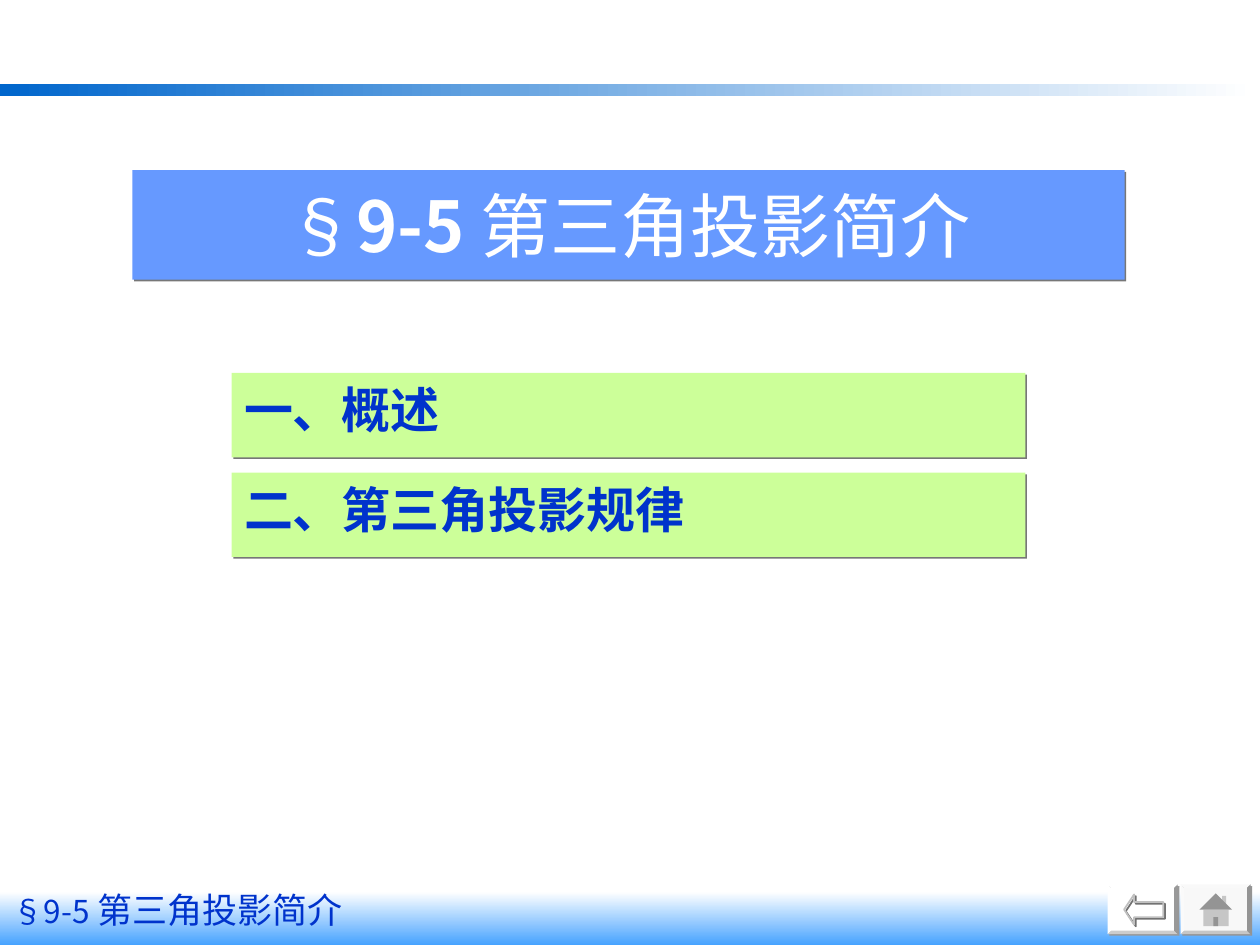
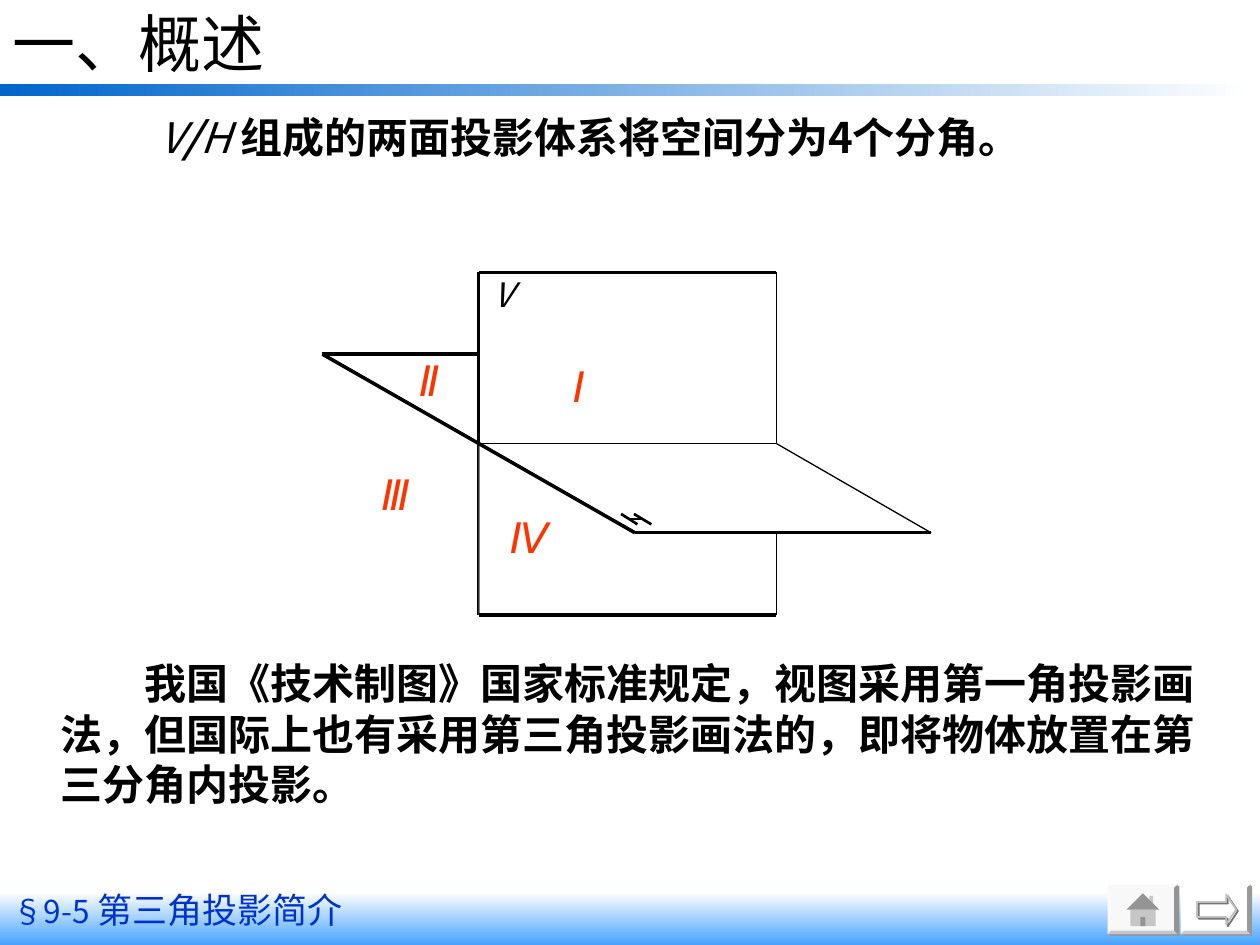
import pptx
import pptx.util
import pptx.dml.color
import pptx.enum.shapes
import pptx.enum.text
import pptx.oxml
import pptx.oxml.ns
from pptx.util import Cm, Pt

SHAPES = pptx.enum.shapes.MSO_SHAPE
ANCHOR = pptx.enum.text.MSO_ANCHOR
ALIGN = pptx.enum.text.PP_ALIGN
SANS_SC = "Noto Sans CJK SC"
SANS_JP = "Noto Sans CJK JP"
BLACK, WHITE, NAVY, RED = "000000", "FFFFFF", "0033CC", "FF3300"
BUTTON_LEFTS = (22.33, 23.8)
BUTTON_TOP, BUTTON_WIDTH, BUTTON_HEIGHT = 17.83, 1.41, 1.0


def color(value):
    return pptx.dml.color.RGBColor.from_string(value)


def add_xml(parent, tag, inner="", **attributes):
    listed = "".join(f' {name}="{value}"' for name, value in attributes.items())
    namespace = pptx.oxml.ns.nsdecls("a")
    element = pptx.oxml.parse_xml(f"<a:{tag} {namespace}{listed}>{inner}</a:{tag}>")
    parent.append(element)


def set_shadow(shape, value):
    inner = (f'<a:outerShdw dist="{Pt(1.4)}" dir="2700000" algn="ctr" rotWithShape="0">'
             f'<a:srgbClr val="{value}"/></a:outerShdw>')
    add_xml(shape._element.spPr, "effectLst", inner)


def set_font(font, name, size=None, value=None, bold=None, italic=None):
    if size:
        font.size = Pt(size)
    if value:
        font.color.rgb = color(value)
    font.bold, font.italic = bold, italic
    font.name = name
    add_xml(font._rPr, "ea", typeface=name)


def set_frame(shape, anchor=ANCHOR.TOP):
    frame = shape.text_frame
    frame.word_wrap = True
    frame.auto_size = pptx.enum.text.MSO_AUTO_SIZE.NONE
    frame.vertical_anchor = anchor
    frame.margin_left = frame.margin_right = Cm(0.25)
    frame.margin_top = frame.margin_bottom = Cm(0.13)
    para = frame.paragraphs[0]
    para.alignment = ALIGN.LEFT
    return para


def add_span(para, text, name, **style):
    span = para.add_run()
    span.text = text
    set_font(span.font, name, **style)
    return span


def set_indent(para, margin, first):
    properties = para._p.get_or_add_pPr()
    properties.set("marL", str(Cm(margin)))
    properties.set("indent", str(Cm(first)))


def add_box(page, left, top, width, height):
    return set_frame(page.shapes.add_textbox(Cm(left), Cm(top), Cm(width), Cm(height)))


def add_panel(page, kind, left, top, width, height, fill=None):
    panel = page.shapes.add_shape(kind, Cm(left), Cm(top), Cm(width), Cm(height))
    panel.shadow.inherit = False
    panel.line.fill.background()
    if fill:
        panel.fill.solid()
        panel.fill.fore_color.rgb = color(fill)
    else:
        panel.fill.background()
    return panel


def add_gradient(page, area, start, end, angle):
    band = add_panel(page, SHAPES.RECTANGLE, *area)
    band.fill.gradient()
    band.fill.gradient_angle = angle
    for stop, position, value in zip(band.fill.gradient_stops, (0, 1), (start, end)):
        stop.position = position
        stop.color.rgb = color(value)


def add_outline(page, points, fill):
    start, *others = [(Cm(x), Cm(y)) for x, y in points]
    builder = page.shapes.build_freeform(*start)
    builder.add_line_segments(others, close=True)
    outline = builder.convert_to_shape()
    outline.shadow.inherit = False
    outline.line.fill.background()
    outline.fill.solid()
    outline.fill.fore_color.rgb = color(fill)
    return outline


def add_line(page, start, end, weight):
    ends = [Cm(value) for value in (*start, *end)]
    line = page.shapes.add_connector(pptx.enum.shapes.MSO_CONNECTOR.STRAIGHT, *ends)
    line.line.color.rgb = color(BLACK)
    line.line.width = Pt(weight)
    add_xml(line._element.spPr, "effectLst")


def add_button(page, left, fill, shadow):
    button = add_panel(page, SHAPES.BEVEL, left, BUTTON_TOP, BUTTON_WIDTH, BUTTON_HEIGHT, fill)
    button.adjustments[0] = 0.07
    button._element.spPr.remove(button._element.spPr.find(pptx.oxml.ns.qn("a:effectLst")))
    set_shadow(button, shadow)


def add_arrow_button(page, left, rotation):
    add_button(page, left, WHITE, "989898")
    arrow = page.shapes.add_shape(SHAPES.RIGHT_ARROW, Cm(left + 0.33), Cm(BUTTON_TOP + 0.2),
                                  Cm(0.79), Cm(0.61))
    arrow.adjustments[0], arrow.adjustments[1] = 0.5, 0.33
    arrow.rotation = rotation
    arrow.fill.background()
    arrow.line.color.rgb = color("C0C0C0")
    arrow.line.width = Pt(1)
    set_shadow(arrow, "727272")


def add_home_button(page, left):
    add_button(page, left, "F8F8F8", "949494")
    parts = (((0.84, 0.23, 0.08, 0.2), "C6C6C6"),
             ((0.46, 0.51, 0.51, 0.33), "C6C6C6"),
             ((0.66, 0.66, 0.1, 0.18), "949494"))
    for (x, y, width, height), fill in parts:
        add_panel(page, SHAPES.RECTANGLE, left + x, BUTTON_TOP + y, width, height, fill)
    roof = ((0.71, 0.18), (1.04, 0.51), (0.38, 0.51))
    add_outline(page, [(left + x, BUTTON_TOP + y) for x, y in roof], "949494")


def add_page(deck):
    page = deck.slides.add_slide(deck.slide_layouts[5])
    add_gradient(page, (0, 1.7, 25.3, 0.23), "0066CC", WHITE, 0)
    add_gradient(page, (0, 17.98, 25.4, 1.07), WHITE, "47A3FF", 270)
    para = add_box(page, 0, 17.78, 11.86, 1.12)
    add_span(para, "§9-5", SANS_SC, size=18, value=NAVY)
    add_span(para, " 第三角投影简介", SANS_SC, size=20, value=NAVY)
    return page


def place_title(page, left, top, width, height):
    title = page.shapes.title
    title.left, title.top, title.width, title.height = map(Cm, (left, top, width, height))
    return title, set_frame(title, ANCHOR.MIDDLE)


def build_contents(deck):
    page = add_page(deck)
    title, para = place_title(page, 2.67, 3.43, 20, 2.21)
    title.fill.solid()
    title.fill.fore_color.rgb = color("6699FF")
    set_shadow(title, "777777")
    para.alignment = ALIGN.CENTER
    for text, bold in (("§", False), ("9-5 ", True), ("第三角投影简介", False)):
        add_span(para, text, SANS_JP, size=40, value=WHITE, bold=bold)
    for index, text in enumerate(("一、概述", "二、第三角投影规律")):
        entry = add_panel(page, SHAPES.RECTANGLE, 4.67, 7.52 + 2.01 * index, 16, 1.7, "CCFF99")
        entry._element.spPr.remove(entry._element.spPr.find(pptx.oxml.ns.qn("a:effectLst")))
        set_shadow(entry, "777777")
        para = set_frame(entry)
        para.text = text
        para.space_before = Pt(7)
        set_font(para.font, SANS_SC, 28, NAVY, True)
    add_arrow_button(page, BUTTON_LEFTS[0], 180)
    add_home_button(page, BUTTON_LEFTS[1])


def draw_planes(page):
    left, right, top, axis, bottom = 9.65, 15.65, 5.49, 8.94, 12.4
    back, front, depth = 6.5, 12.8, 10.74
    far = 18.77
    add_line(page, (left, axis), (left, bottom), 2)
    wedge = add_outline(page, ((11.99, 10.69), (left, axis), (left, bottom)), WHITE)
    add_xml(wedge.fill._xPr.find(".//" + pptx.oxml.ns.qn("a:srgbClr")), "alpha", val=50000)
    lines = (((left, axis), (right, axis), 0.75),
             ((left, axis), (front, depth), 2),
             ((front, depth), (far, depth), 1.75),
             ((right, top), (right, axis), 0.75),
             ((left, top), (left, axis), 1.75),
             ((left, top), (right, top), 2),
             ((right, axis), (far, depth), 0.75),
             ((right, depth), (right, bottom), 0.75),
             ((left, bottom), (right, bottom), 2),
             ((back, 7.14), (left, 7.14), 2),
             ((back, 7.14), (left, axis), 2),
             ((12.52, 10.36), (12.85, 10.57), 1.5),
             ((12.78, 10.36), (13.13, 10.57), 1.5),
             ((12.7, 10.46), (12.93, 10.46), 1.5))
    for start, end, weight in lines:
        add_line(page, start, end, weight)


def label_planes(page):
    para = add_box(page, 9.7, 5.23, 0.89, 1.27)
    span = add_span(para, "v", SANS_JP, size=24, value=BLACK, italic=True)
    span.font._rPr.set("cap", "small")
    quadrants = (("Ⅰ", 11.3, 7.14), ("Ⅱ", 8.2, 7.01), ("Ⅲ", 7.44, 9.32), ("Ⅳ", 10.03, 10.19))
    for text, left, top in quadrants:
        para = add_box(page, left, top, 1.3, 1.27)
        para.text = text
        set_font(para.font, "Arial", 24, RED, italic=True)


def build_overview(deck):
    page = add_page(deck)
    title, para = place_title(page, 0, 0, 21.59, 1.7)
    para.text = "一、概述"
    set_font(para.font, "Roboto", 36, BLACK)
    para = add_box(page, 0.99, 2.11, 24.69, 1.27)
    set_indent(para, 0, 1.98)
    para.space_before = Pt(6)
    spans = (("V", SANS_JP, False, True), ("/", SANS_SC, True, True), ("H ", SANS_JP, False, True),
             ("组成的两面投影体系将空间分为4个分角。", SANS_SC, True, False))
    for text, name, bold, italic in spans:
        add_span(para, text, name, size=24, value=BLACK, bold=bold, italic=italic)
    draw_planes(page)
    label_planes(page)
    para = add_box(page, 0, 13.13, 24.69, 3.3)
    set_indent(para, 0.97, 1.7)
    para.space_before = Pt(6)
    para.text = ("我国《技术制图》国家标准规定，视图采用第一角投影画法，但国际上也有采用"
                 "第三角投影画法的，即将物体放置在第三分角内投影。")
    set_font(para.font, SANS_SC, 24, BLACK, True)
    add_arrow_button(page, BUTTON_LEFTS[1], 0)
    add_home_button(page, BUTTON_LEFTS[0])


def main():
    deck = pptx.Presentation()
    deck.slide_width, deck.slide_height = Cm(25.4), Cm(19.05)
    build_contents(deck)
    build_overview(deck)
    deck.save("out.pptx")


if __name__ == "__main__":
    main()
